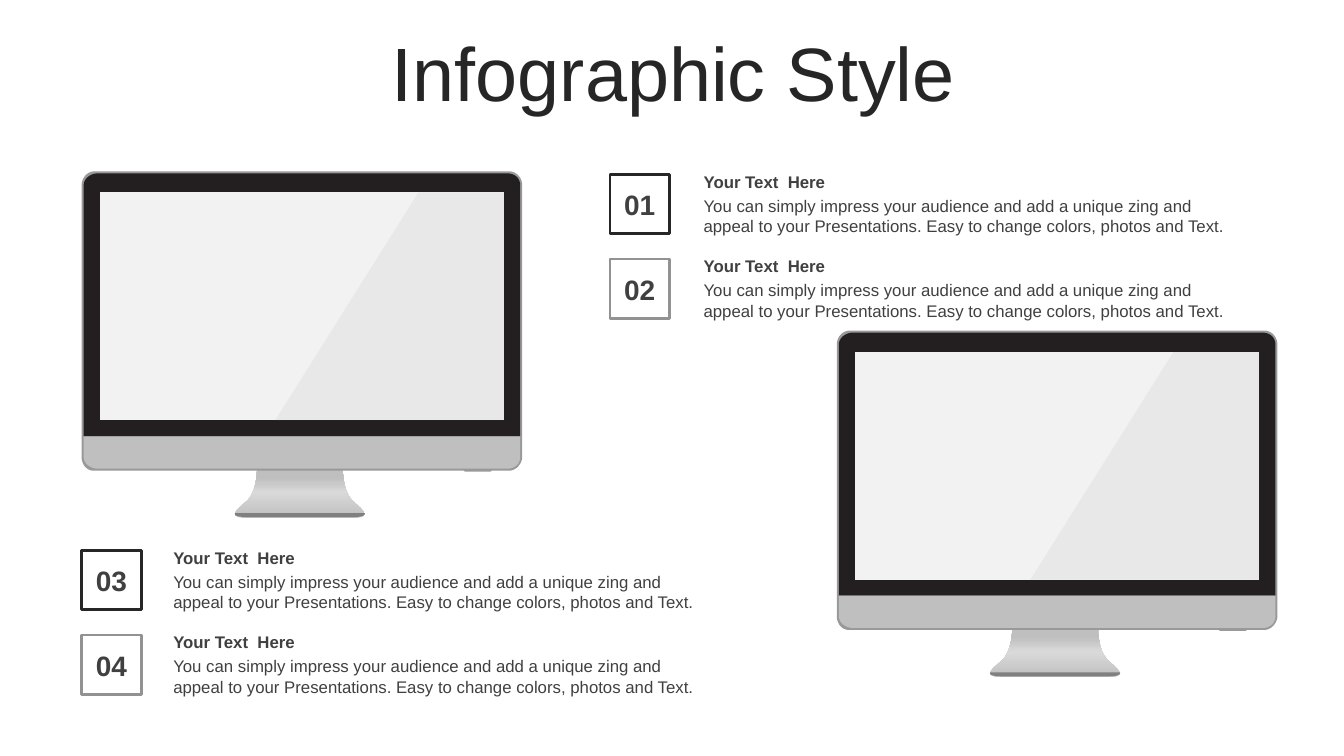
from copy import deepcopy
from lxml.etree import SubElement
from pptx import Presentation
from pptx.dml.color import RGBColor
from pptx.enum.shapes import MSO_SHAPE as Shape
from pptx.enum.text import MSO_ANCHOR as Anchor, PP_ALIGN as Align
from pptx.oxml.ns import qn
from pptx.util import Inches, Pt

BODY = ("You can simply impress your audience and add a unique zing and "
        "appeal to your Presentations. Easy to change colors, photos and Text.")
METAL = [(0, "BFBFBF"), (0.53, "D9D9D9"), (0.83, "BFBFBF"), (1, "BFBFBF")]

NECK = [(3.49, 4.96), (3.4, 4.87, 3.4, 4.66, 3.4, 4.66), (2.55, 4.66),
        (2.55, 4.66, 2.55, 4.86, 2.46, 4.96),
        (2.36, 5.05, 2.22, 5.14, 2.47, 5.14), (3.48, 5.14),
        (3.73, 5.14, 3.58, 5.05, 3.49, 4.96)]
CASE = [(5.05, 1.7), (0.94, 1.7), (0.87, 1.7, 0.81, 1.76, 0.81, 1.84),
        (0.81, 4.53), (0.81, 4.61, 0.86, 4.67, 0.93, 4.67), (5.05, 4.67),
        (5.12, 4.67, 5.18, 4.6, 5.18, 4.53), (5.18, 1.84),
        (5.18, 1.76, 5.12, 1.7, 5.05, 1.7)]
PORT = [(4.6, 4.65), (4.6, 4.65, 4.59, 4.68, 4.62, 4.68), (4.86, 4.68),
        (4.86, 4.68, 4.88, 4.68, 4.88, 4.65)]
BEZEL = [(5.03, 1.72), (0.97, 1.72), (0.9, 1.72, 0.83, 1.77, 0.83, 1.84),
         (0.83, 4.33), (5.16, 4.33), (5.16, 1.84),
         (5.16, 1.77, 5.11, 1.72, 5.03, 1.72)]
FOOT = [(2.33, 5.1), (2.33, 5.12, 2.37, 5.13, 2.48, 5.13), (3.48, 5.13),
        (3.58, 5.13, 3.62, 5.12, 3.62, 5.09), (2.33, 5.09)]
CHIN = [(0.83, 4.53), (0.83, 4.6, 0.9, 4.65, 0.97, 4.65), (5.03, 4.65),
        (5.11, 4.65, 5.16, 4.6, 5.16, 4.53), (5.16, 4.33), (0.83, 4.33)]
SCREEN = [(0.99, 1.91), (5, 1.91), (5, 4.17), (0.99, 4.17)]
GLARE = [(4.15, 1.91), (5, 1.91), (5, 4.17), (2.73, 4.17)]


def paint(code):
    return RGBColor.from_string(code)


def trace(outline, steps=10):
    dots = [outline[0]]
    for part in outline[1:]:
        if len(part) == 2:
            dots.append(part)
            continue
        ends = [dots[-1], part[:2], part[2:4], part[4:]]
        for step in range(1, steps + 1):
            t = step / steps
            mix = [(1 - t) ** 3, 3 * t * (1 - t) ** 2, 3 * t * t * (1 - t), t ** 3]
            dots.append(tuple(sum(w * end[axis] for w, end in zip(mix, ends))
                              for axis in (0, 1)))
    return dots


class Deck:
    font = "Arial"
    ink = "404040"

    def __init__(self, slide):
        self.slide = slide

    def form(self, outline, color, dx, dy, alpha=None):
        dots = [(Inches(x + dx), Inches(y + dy)) for x, y in trace(outline)]
        pen = self.slide.shapes.build_freeform(*dots[0])
        pen.add_line_segments(dots[1:], close=True)
        shape = pen.convert_to_shape()
        shape.shadow.inherit = False
        shape.line.fill.background()
        fill = shape.fill
        if isinstance(color, list):
            self.blend(shape, color)
            return
        fill.solid()
        fill.fore_color.rgb = paint(color)
        if alpha:
            tint = shape._element.spPr.find(".//" + qn("a:srgbClr"))
            SubElement(tint, qn("a:alpha")).set("val", str(alpha * 1000))

    def blend(self, shape, stops):
        fill = shape.fill
        fill.gradient()
        fill.gradient_angle = 90
        group = shape._element.spPr.find(".//" + qn("a:gsLst"))
        while len(group) < len(stops):
            group.append(deepcopy(group[0]))
        for stop, (place, color) in zip(fill.gradient_stops, stops):
            stop.color.rgb = paint(color)
            stop.position = place

    def text(self, words, x, y, w, h, size=12, bold=False, color=ink,
             mid=False, wrap=True, space=None):
        box = self.slide.shapes.add_textbox(Inches(x), Inches(y), Inches(w), Inches(h))
        frame = box.text_frame
        frame.word_wrap = wrap
        frame.vertical_anchor = Anchor.MIDDLE if mid else Anchor.TOP
        para = frame.paragraphs[0]
        para.alignment = Align.CENTER if mid else Align.LEFT
        para.line_spacing = space
        run = para.add_run()
        run.text = words
        font = run.font
        font.name, font.size, font.bold = self.font, Pt(size), bold
        font.color.rgb = paint(color)

    def frame(self, x, y, side, color):
        box = self.slide.shapes.add_shape(
            Shape.RECTANGLE, Inches(x), Inches(y), Inches(side), Inches(side))
        box.shadow.inherit = False
        box.fill.background()
        box.line.color.rgb = paint(color)
        box.line.width = Pt(2)

    def screen(self, dx, dy):
        for outline, color in [(NECK, METAL), (CASE, "999999"), (PORT, "999999"),
                               (BEZEL, "231F20"), (FOOT, "808080"),
                               (CHIN, "BFBFBF"), (SCREEN, "F2F2F2")]:
            self.form(outline, color, dx, dy)
        self.form(GLARE, "999999", dx, dy, alpha=10)

    def item(self, label, x, y, left, color):
        self.text(BODY, left, y + 0.16, 5.59, 0.5)
        self.text("Your Text  Here", left, y - 0.08, 5.59, 0.3, bold=True)
        self.text(label, x + 0.04, y + 0.08, 0.51, 0.44, size=20, bold=True,
                  mid=True, wrap=False)
        self.frame(x, y, 0.59, color)


def main():
    show = Presentation()
    show.slide_width, show.slide_height = Inches(13.33), Inches(7.5)
    deck = Deck(show.slides.add_slide(show.slide_layouts[6]))
    deck.screen(0, 0)
    deck.screen(7.49, 1.58)
    deck.text("Infographic Style", 0.35, 0.37, 12.66, 0.79, size=54,
              color="262626", mid=True, space=0.9)
    for pair, (x, y, left) in enumerate([(6.05, 1.73, 6.88), (0.81, 5.46, 1.62)]):
        for row, color in enumerate(["262626", "929292"]):
            deck.item(f"{pair * 2 + row + 1:02}", x, y + row * 0.84, left, color)
    show.save("out.pptx")


if __name__ == "__main__":
    main()
